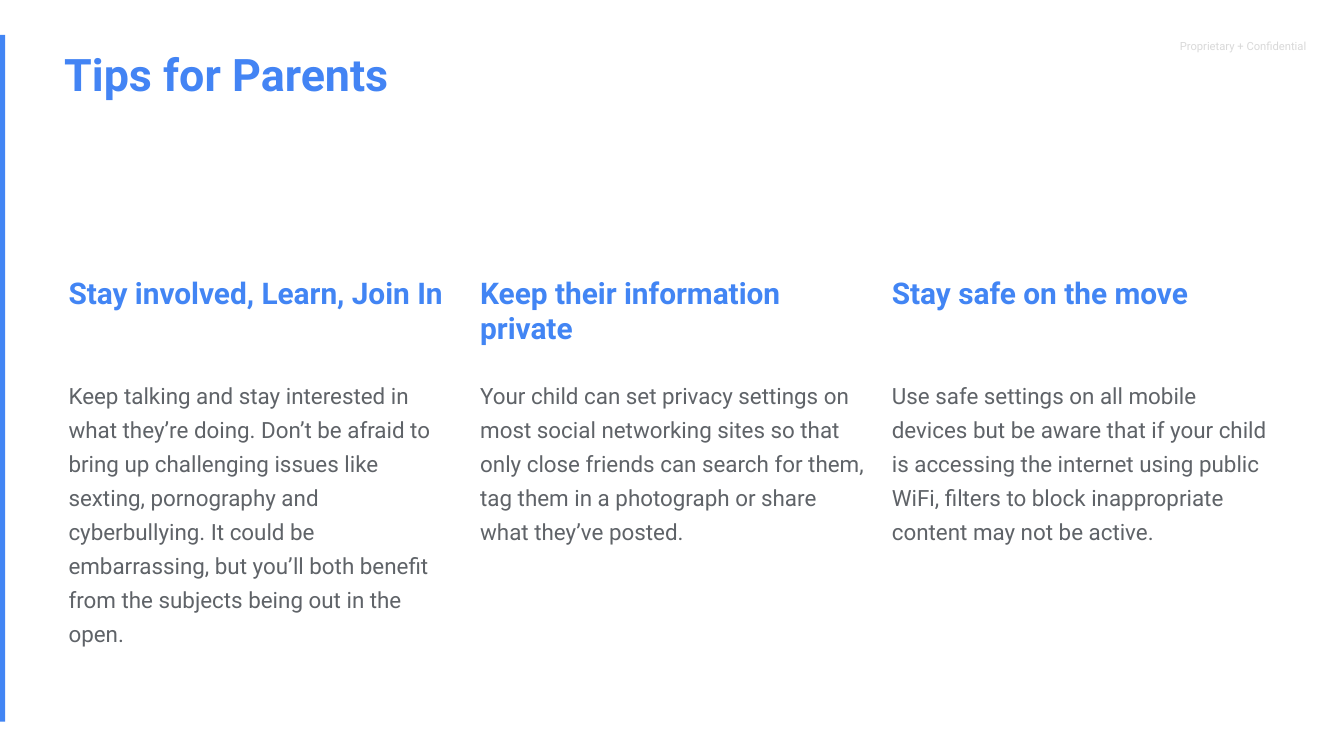
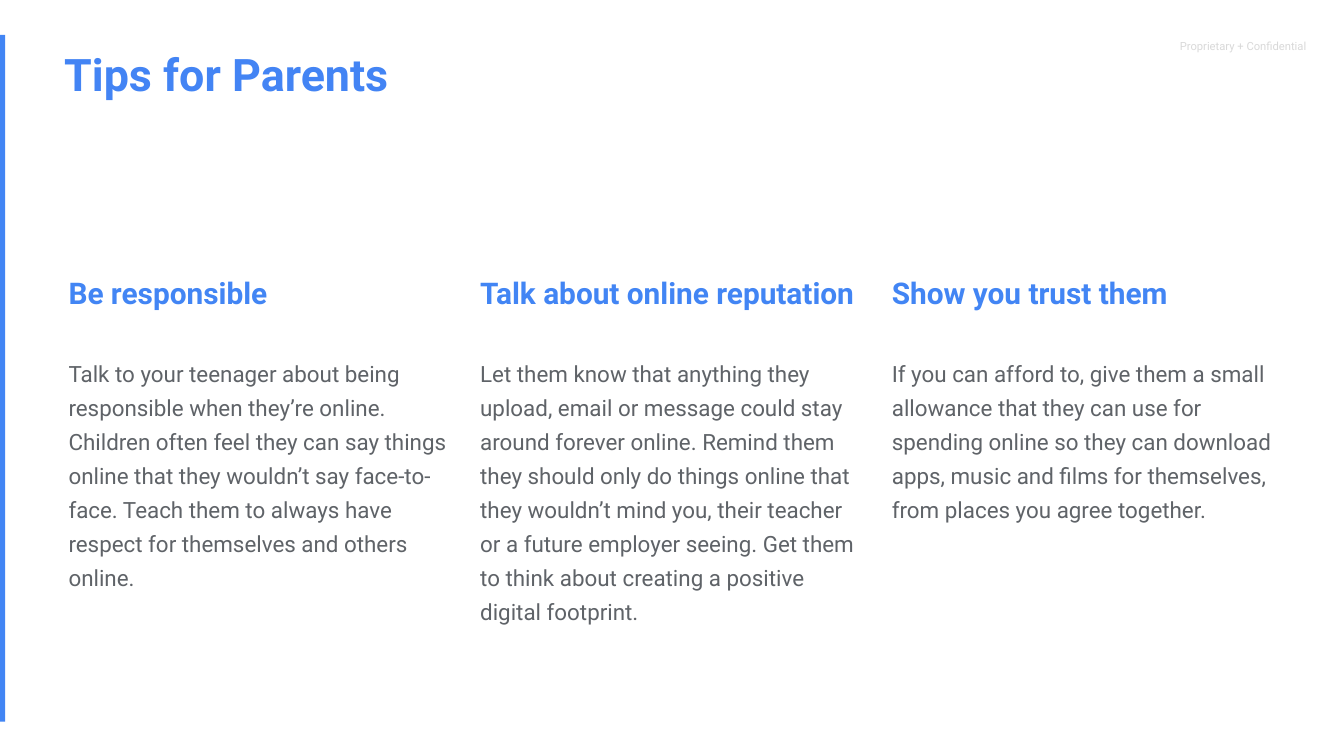
from dataclasses import dataclass
from typing import NamedTuple

from pptx import Presentation
from pptx.dml.color import RGBColor
from pptx.enum.shapes import MSO_SHAPE
from pptx.enum.text import MSO_ANCHOR
from pptx.util import Inches, Pt

RECT = MSO_SHAPE.RECTANGLE
TOP = MSO_ANCHOR.TOP

# The grid has square cells, 100 of them across the slide.
SLIDE_W = Inches(10)
SLIDE_H = SLIDE_W * 9 // 16
UNIT = SLIDE_W / 100

FONT = "Roboto"
BLUE = "4285F4"
MARGIN = Inches(0.1)


class Box(NamedTuple):
    """Left, top, width and height in grid cells."""
    x: float
    y: float
    w: float
    h: float


class Style(NamedTuple):
    size: int
    color: str
    bold: bool = False
    line: float = 1.0


class Tip(NamedTuple):
    heading: str
    advice: str


@dataclass
class TipSlide:
    rows: tuple[float, float]
    tips: list[Tip]


TITLE = Style(24, "4384F4", True, 0.9)
NOTICE = Style(6, "D9D9D9")
HEADING = Style(16, BLUE, True)
ADVICE = Style(12, "5F6368", line=1.3)

SIDE_BAR = Box(-0.2, 2.6, 0.6, 51.1)
NOTICE_BOX = Box(86.8, 2.4, 13.2, 3.3)
TITLE_BOX = Box(3.8, 2.9, 85.3, 4.5)
TABLE_X, TABLE_Y, COLUMN_W = 4.1, 19.6, 30.63

SLIDES = [
    TipSlide((6.7, 18.5), [
        Tip("Stay involved, Learn, Join In",
            "Keep talking and stay interested in what they’re doing. Don’t be afraid "
            "to bring up challenging issues like sexting, pornography and "
            "cyberbullying. It could be embarrassing, but you’ll both benefit from "
            "the subjects being out in the open."),
        Tip("Keep their information private",
            "Your child can set privacy settings on most social networking sites so "
            "that only close friends can search for them, tag them in a photograph "
            "or share what they’ve posted."),
        Tip("Stay safe on the move",
            "Use safe settings on all mobile devices but be aware that if your child "
            "is accessing the internet using public WiFi, filters to block "
            "inappropriate content may not be active."),
    ]),
    TipSlide((5.7, 4.2), [
        Tip("Be responsible",
            "Talk to your teenager about being responsible when they’re online. "
            "Children often feel they can say things online that they wouldn’t say "
            "face-to-face. Teach them to always have respect for themselves and "
            "others online."),
        Tip("Talk about online reputation",
            "Let them know that anything they upload, email or message could stay "
            "around forever online. Remind them they should only do things online "
            "that they wouldn’t mind you, their teacher or a future employer seeing. "
            "Get them to think about creating a positive digital footprint."),
        Tip("Show you trust them",
            "If you can afford to, give them a small allowance that they can use for "
            "spending online so they can download apps, music and films for "
            "themselves, from places you agree together."),
    ]),
]


def rgb(color: str) -> RGBColor:
    return RGBColor.from_string(color)


def cells(count: float) -> int:
    """Length of a number of grid cells."""
    return round(count * UNIT)


def place(box: Box) -> list[int]:
    return [cells(value) for value in box]


def set_margins(holder) -> None:
    """Give a text frame or a table cell the same margin on all sides."""
    holder.margin_left = holder.margin_right = MARGIN
    holder.margin_top = holder.margin_bottom = MARGIN
    holder.vertical_anchor = TOP


def write(tf, text: str, style: Style) -> None:
    tf.word_wrap = True
    p = tf.paragraphs[0]
    p.text = text
    p.line_spacing = style.line
    for r in p.runs:
        r.font.name = FONT
        r.font.size = Pt(style.size)
        r.font.bold = style.bold
        r.font.color.rgb = rgb(style.color)


def add_text(s, box: Box, text: str, style: Style) -> None:
    tf = s.shapes.add_textbox(*place(box)).text_frame
    set_margins(tf)
    write(tf, text, style)


def add_side_bar(s) -> None:
    sp = s.shapes.add_shape(RECT, *place(SIDE_BAR))
    sp.shadow.inherit = False
    sp.fill.solid()
    sp.fill.fore_color.rgb = rgb(BLUE)
    sp.line.fill.background()


def add_tips(s, content: TipSlide) -> None:
    """One column per tip: heading above, advice below."""
    count = len(content.tips)
    box = Box(TABLE_X, TABLE_Y, count * COLUMN_W, sum(content.rows))
    table = s.shapes.add_table(2, count, *place(box)).table
    table.first_row = table.horz_banding = False
    for row, height in zip(table.rows, content.rows):
        row.height = cells(height)
    for col, tip in enumerate(content.tips):
        table.columns[col].width = cells(COLUMN_W)
        for row, (text, style) in enumerate(zip(tip, (HEADING, ADVICE))):
            cell = table.cell(row, col)
            cell.fill.background()
            set_margins(cell)
            write(cell.text_frame, text, style)


def main() -> None:
    prs = Presentation()
    prs.slide_width, prs.slide_height = SLIDE_W, SLIDE_H
    blank = prs.slide_layouts[6]
    for content in SLIDES:
        s = prs.slides.add_slide(blank)
        add_text(s, NOTICE_BOX, "Proprietary + Confidential", NOTICE)
        add_side_bar(s)
        add_tips(s, content)
        add_text(s, TITLE_BOX, "Tips for Parents", TITLE)
    prs.save("out.pptx")


if __name__ == "__main__":
    main()
